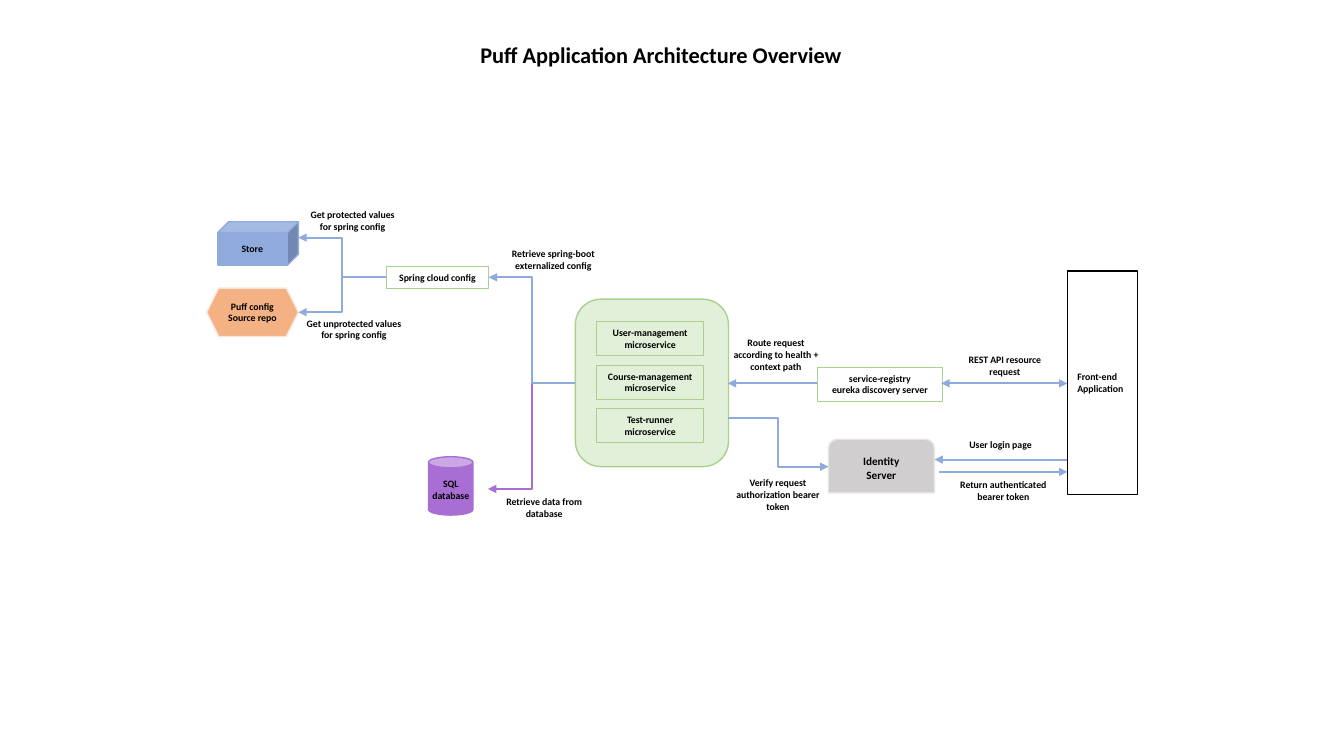
from dataclasses import dataclass
from typing import Optional

from lxml import etree
from pptx import Presentation
from pptx import util as u
from pptx.dml.color import RGBColor
from pptx.enum import shapes, text
from pptx.oxml.ns import qn

BLACK = RGBColor(0x00, 0x00, 0x00)
BLUE = RGBColor(0x8F, 0xAA, 0xDC)
PURPLE = RGBColor(0xA8, 0x6E, 0xD4)
GREEN = RGBColor(0xA9, 0xD1, 0x8E)
PALE_GREEN = RGBColor(0xE2, 0xF0, 0xD9)
ORANGE = RGBColor(0xF4, 0xB1, 0x83)
PALE_ORANGE = RGBColor(0xFB, 0xE5, 0xD6)
GREY = RGBColor(0xD0, 0xCE, 0xCE)
PALE_GREY = RGBColor(0xE7, 0xE6, 0xE6)

KIND = shapes.MSO_SHAPE
CENTER, LEFT = text.PP_ALIGN.CENTER, text.PP_ALIGN.LEFT
TOP, MIDDLE = text.MSO_ANCHOR.TOP, text.MSO_ANCHOR.MIDDLE

Box = tuple[float, float, float, float]
Point = tuple[float, float]


@dataclass
class Label:
    """Wording in a box of left, top, width, height (cm)."""
    wording: str
    box: Box
    size: float = 7
    align: text.PP_ALIGN = CENTER


@dataclass
class Node:
    """A component of the architecture, with wording inside or laid over it."""
    kind: shapes.MSO_SHAPE
    box: Box
    line: RGBColor
    fill: Optional[RGBColor] = None
    wording: str = ""
    align: text.PP_ALIGN = CENTER
    caption: Optional[Label] = None
    weight: float = 0.75


@dataclass
class Flow:
    """An arrow between two components."""
    start: Point
    end: Point
    color: RGBColor = BLUE
    two_way: bool = False


def apply(target: object, values: dict) -> None:
    """Set each named attribute on the target."""
    for name, value in values.items():
        setattr(target, name, value)


def write(frame, wording: str, size: float, align, anchor) -> None:
    """Fill a text frame with bold black wording, one paragraph per line."""
    frame.text = wording
    apply(frame, {"word_wrap": True, "auto_size": text.MSO_AUTO_SIZE.NONE,
                  "vertical_anchor": anchor,
                  "margin_left": u.Cm(0.25), "margin_right": u.Cm(0.25),
                  "margin_top": u.Cm(0.13), "margin_bottom": u.Cm(0.13)})
    for paragraph in frame.paragraphs:
        apply(paragraph, {"alignment": align, "line_spacing": 1.0})
        apply(paragraph.font, {"name": "Calibri", "size": u.Pt(size), "bold": True})
        paragraph.font.color.rgb = BLACK


def add_label(slide, label: Label):
    """Add a free-standing text box."""
    textbox = slide.shapes.add_textbox(*map(u.Cm, label.box))
    write(textbox.text_frame, label.wording, label.size, label.align, TOP)
    return textbox


def add_node(slide, node: Node) -> None:
    """Add a component, grouped with its caption if it has one."""
    component = slide.shapes.add_shape(node.kind, *map(u.Cm, node.box))
    component.shadow.inherit = False
    if node.fill is None:
        component.fill.background()
    else:
        component.fill.solid()
        component.fill.fore_color.rgb = node.fill
    component.line.color.rgb = node.line
    component.line.width = u.Pt(node.weight)
    if node.wording:
        write(component.text_frame, node.wording, 7, node.align, MIDDLE)
    if node.caption:
        slide.shapes.add_group_shape([component, add_label(slide, node.caption)])


def add_flow(slide, flow: Flow) -> None:
    """Add an arrow: straight when level, otherwise with an elbow."""
    level = flow.start[1] == flow.end[1]
    route = shapes.MSO_CONNECTOR.STRAIGHT if level else shapes.MSO_CONNECTOR.ELBOW
    arrow = slide.shapes.add_connector(route, *map(u.Cm, flow.start + flow.end))
    arrow.line.color.rgb = flow.color
    arrow.line.width = u.Pt(1.5)
    for tip in ("a:headEnd", "a:tailEnd") if flow.two_way else ("a:tailEnd",):
        etree.SubElement(arrow.line._get_or_add_ln(), qn(tip), type="triangle")
    etree.SubElement(arrow._element.spPr, qn("a:effectLst"))


SERVICES = ("User-management", "Course-management", "Test-runner")

NODES = [
    Node(KIND.ROUNDED_RECTANGLE, (14.5, 7.54, 3.86, 4.22), GREEN, PALE_GREEN, weight=1),
    *(Node(KIND.RECTANGLE, (15.04, 8.1 + 1.1 * row, 2.69, 0.86), GREEN,
           wording=f"{service}\nmicroservice") for row, service in enumerate(SERVICES)),
    Node(KIND.RECTANGLE, (20.6, 9.25, 3.15, 0.86), GREEN,
         wording="service-registry\neureka discovery server"),
    Node(KIND.CAN, (10.8, 11.51, 1.12, 1.47), PURPLE, PURPLE, weight=1,
         caption=Label("SQL\ndatabase", (10.41, 11.91, 1.9, 0.86))),
    Node(KIND.CUBE, (5.49, 5.59, 2.03, 1.09), BLUE, BLUE, weight=1,
         caption=Label("Store", (5.84, 5.99, 1.3, 0.56), align=LEFT)),
    Node(KIND.RECTANGLE, (9.73, 6.71, 2.59, 0.56), GREEN, wording="Spring cloud config"),
    Node(KIND.HEXAGON, (5.21, 7.26, 2.31, 1.22), PALE_ORANGE, ORANGE, weight=1,
         caption=Label("Puff config\nSource repo", (5.33, 7.44, 2.06, 0.86))),
    Node(KIND.ROUND_2_SAME_RECTANGLE, (20.88, 11.07, 2.67, 1.35), PALE_GREY, GREY, weight=1,
         caption=Label("Identity Server", (21.26, 11.33, 1.9, 0.94), size=8)),
    Node(KIND.RECTANGLE, (26.9, 6.83, 1.78, 5.64), BLACK,
         wording="Front-end Application", align=LEFT),
]

FLOWS = [
    Flow((26.9, 11.58), (23.55, 11.58)),
    Flow((23.67, 11.89), (26.9, 11.89)),
    Flow((9.73, 6.99), (7.52, 5.99)),
    Flow((9.73, 6.99), (7.52, 7.87)),
    Flow((20.6, 9.66), (18.34, 9.66)),
    Flow((14.5, 9.66), (12.3, 12.32), PURPLE),
    Flow((14.5, 9.66), (12.32, 6.99)),
    Flow((18.34, 10.54), (20.88, 11.76)),
    Flow((23.72, 9.66), (26.9, 9.66), two_way=True),
]

LABELS = [
    Label("Return authenticated bearer token", (23.62, 11.94, 3.33, 0.86)),
    Label("User login page", (23.55, 10.92, 3.33, 0.56)),
    Label("REST API resource request", (23.98, 8.79, 2.69, 0.86)),
    Label("Route request according to health + context path", (18.16, 8.36, 2.79, 1.14)),
    Label("Verify request authorization bearer token", (18.21, 11.89, 2.79, 1.14)),
    Label("Retrieve data from database", (12.32, 12.37, 2.79, 0.86)),
    Label("Retrieve spring-boot externalized config", (12.55, 6.12, 2.79, 0.86)),
    Label("Get unprotected values for spring config", (7.42, 7.87, 3, 0.86)),
    Label("Get protected values for spring config", (7.49, 5.13, 2.79, 0.86)),
]

deck = Presentation()
apply(deck, {"slide_width": u.Cm(33.87), "slide_height": u.Cm(19.05)})
overview = deck.slides.add_slide(deck.slide_layouts[5])

heading = overview.shapes.title
apply(heading, {"left": u.Cm(11.35), "top": u.Cm(0.91),
                "width": u.Cm(10.62), "height": u.Cm(0.94)})
write(heading.text_frame, "Puff Application Architecture Overview", 16, CENTER, TOP)

for draw, parts in ((add_node, NODES), (add_flow, FLOWS), (add_label, LABELS)):
    for part in parts:
        draw(overview, part)

deck.save("out.pptx")
